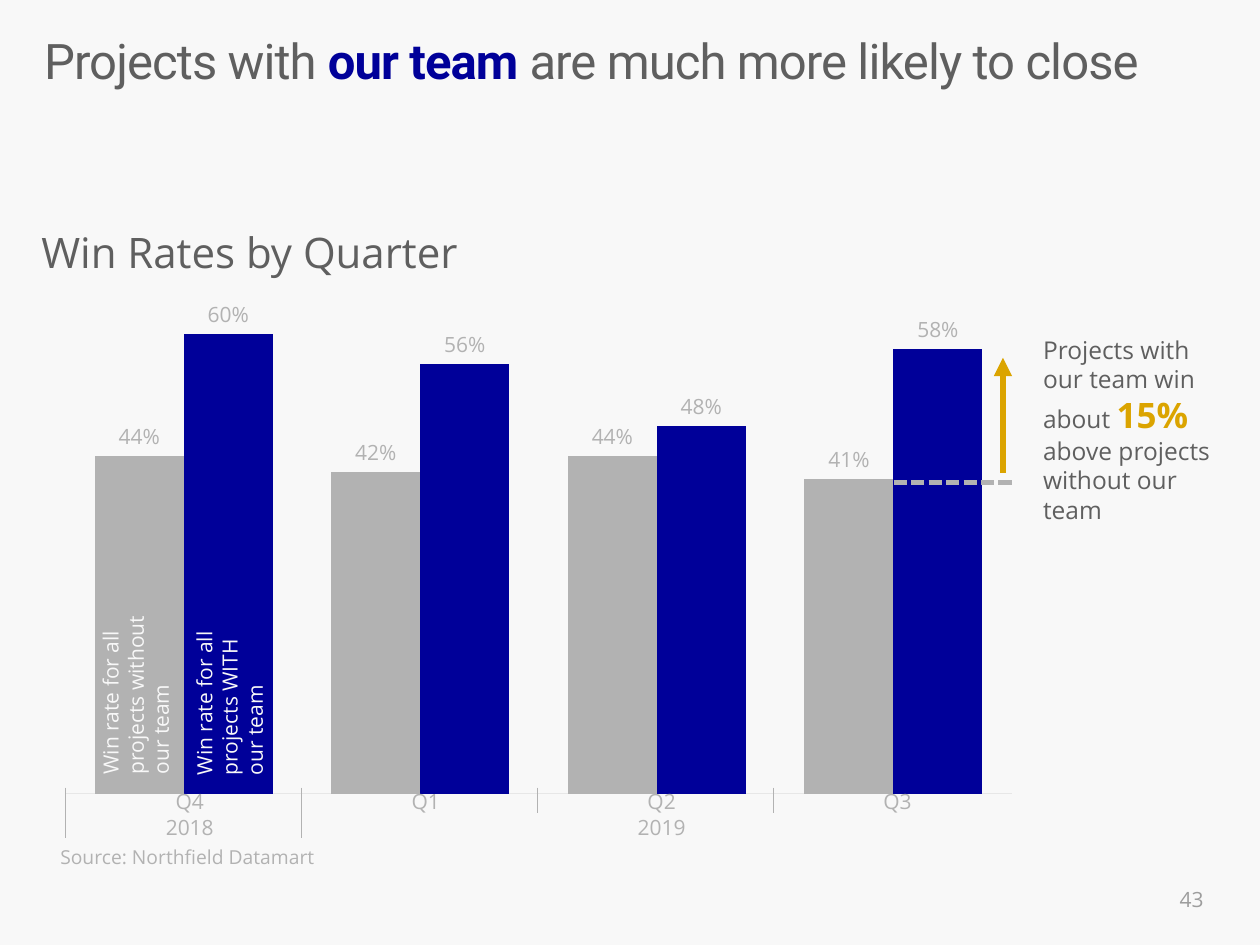
import pptx
import pptx.chart.data
import pptx.dml.color
import pptx.enum.chart
import pptx.enum.dml
import pptx.enum.shapes
import pptx.enum.text
import pptx.oxml
import pptx.oxml.ns
import pptx.util
from lxml import etree

Inches, Pt = pptx.util.Inches, pptx.util.Pt
qn = pptx.oxml.ns.qn
PP_ALIGN = pptx.enum.text.PP_ALIGN
MSO_ANCHOR = pptx.enum.text.MSO_ANCHOR

BACKGROUND, DARK, GRAY, BLUE, GOLD = "F8F8F8", "5F5F5F", "B2B2B2", "000099", "DBA400"
BODY_FONT = "Open Sans"

TITLE = [("Projects with ", 28, DARK, False),
         ("our team ", 28, BLUE, True),
         ("are much more likely to close", 28, DARK, False)]
CALLOUT = [("Projects with our team win about ", 14, DARK, False),
           ("15% ", 20, GOLD, True),
           ("above projects without our team", 14, DARK, False)]
LABELS = [
    ("Win Rates by Quarter", (0.23, 1.75, 4.94, 0.5), 24, DARK, 0),
    ("Source: Northfield Datamart", (0.38, 6.66, 2.89, 0.29), 11, GRAY, 0),
    ("Win rate for all projects without our team", (0.34, 5.15, 1.48, 0.71), 12, BACKGROUND, 270),
    ("Win rate for all projects WITH our team", (1.15, 5.22, 1.35, 0.71), 12, BACKGROUND, 270),
]
SERIES = [("Series 1", (0.44, 0.42, 0.44, 0.41), GRAY),
          ("Series 2", (0.6, 0.56, 0.48, 0.58), BLUE)]
QUARTERS = ["Q4", "Q1", "Q2", "Q3"]
YEARS = [("2018", 0, 0), ("2019", 1, 3)]
CHART_BOX = (0.35, 1.94, 7.82, 4.45)
PLOT_BOX = (0.52, 2.04, 7.51, 4.26)
TABLE_BOX = (0.52, 6.25, 7.49, 0.4)
NO_STYLE = "{2D5ABB26-0587-4C30-8999-92F81FD0307C}"


def color(value):
    return pptx.dml.color.RGBColor.from_string(value)


def set_font(font, size, value, bold=False, name=BODY_FONT):
    font.name, font.size, font.bold = name, Pt(size), bold
    font.color.rgb = color(value)


def add_text(slide, box, runs, name=BODY_FONT, grow=True):
    shape = slide.shapes.add_textbox(*map(Inches, box))
    frame = shape.text_frame
    frame.word_wrap = True
    if grow:
        frame.auto_size = pptx.enum.text.MSO_AUTO_SIZE.SHAPE_TO_FIT_TEXT
    paragraph = frame.paragraphs[0]
    for text, size, value, bold in runs:
        run = paragraph.add_run()
        run.text = text
        set_font(run.font, size, value, bold, name)
    return shape


def add_title(slide):
    frame = add_text(slide, (0.35, 0.31, 9.29, 0.89), TITLE, "Roboto", False).text_frame
    frame.margin_left = frame.margin_right = frame.margin_top = frame.margin_bottom = 0
    paragraph = frame.paragraphs[0]
    paragraph.line_spacing = 0.86
    for run in paragraph.runs:
        run._r.get_or_add_rPr().set("spc", "-50")


def add_chart(slide):
    data = pptx.chart.data.CategoryChartData(number_format="0%")
    data.categories = ["1", "2", "3", "4"]
    for name, values, _ in SERIES:
        data.add_series(name, values)
    chart = slide.shapes.add_chart(pptx.enum.chart.XL_CHART_TYPE.COLUMN_CLUSTERED,
                                   *map(Inches, CHART_BOX), data).chart
    chart.has_legend = chart.has_title = False
    set_font(chart.font, 10, DARK)

    category_axis, value_axis = chart.category_axis, chart.value_axis
    category_axis.tick_label_position = pptx.enum.chart.XL_TICK_LABEL_POSITION.NONE
    category_axis.major_tick_mark = pptx.enum.chart.XL_TICK_MARK.NONE
    category_axis.format.line.color.rgb = color("E7E7E7")
    category_axis.format.line.width = Pt(0.75)
    value_axis.has_major_gridlines = value_axis.visible = False
    value_axis.minimum_scale, value_axis.maximum_scale = 0, 0.7

    plot = chart.plots[0]
    plot.gap_width, plot.overlap = 66, 0
    plot.vary_by_categories = False
    for series, (_, _, value) in zip(plot.series, SERIES):
        series.format.fill.solid()
        series.format.fill.fore_color.rgb = color(value)
        labels = series.data_labels
        labels.show_value = True
        labels.number_format, labels.number_format_is_linked = "0%", False
        labels.position = pptx.enum.chart.XL_LABEL_POSITION.OUTSIDE_END
        set_font(labels.font, 12, GRAY)

    plot_area = chart._chartSpace.chart.plotArea
    for layout in plot_area.findall(qn("c:layout")):
        plot_area.remove(layout)
    layout = etree.Element(qn("c:layout"))
    manual = etree.SubElement(layout, qn("c:manualLayout"))
    left, top, width, height = CHART_BOX
    x, y, w, h = PLOT_BOX
    for tag, value in (("layoutTarget", "inner"), ("xMode", "edge"), ("yMode", "edge"),
                       ("x", (x - left) / width), ("y", (y - top) / height),
                       ("w", w / width), ("h", h / height)):
        etree.SubElement(manual, qn("c:" + tag)).set("val", str(value))
    plot_area.insert(0, layout)


def add_line(slide, points, value, width):
    connector = slide.shapes.add_connector(pptx.enum.shapes.MSO_CONNECTOR.STRAIGHT,
                                           *map(Inches, points))
    connector.line.color.rgb = color(value)
    connector.line.width = Pt(width)
    etree.SubElement(connector._element.spPr, qn("a:effectLst"))
    return connector


def fill_cell(cell, text):
    cell.text = text
    cell.fill.background()
    cell.margin_left = Inches(0.1)
    cell.margin_right = cell.margin_top = cell.margin_bottom = 0
    paragraph = cell.text_frame.paragraphs[0]
    paragraph.alignment = PP_ALIGN.CENTER
    set_font(paragraph.font, 12, GRAY)


def add_border(cell, side):
    border = pptx.oxml.parse_xml(
        f'<a:{side} xmlns:a="http://schemas.openxmlformats.org/drawingml/2006/main" w="12700">'
        f'<a:solidFill><a:srgbClr val="{GRAY}"/></a:solidFill></a:{side}>')
    properties = cell._tc.get_or_add_tcPr()
    properties.insert(len(properties.findall(qn("a:lnL"))), border)


def add_table(slide):
    table = slide.shapes.add_table(2, len(QUARTERS), *map(Inches, TABLE_BOX)).table
    table.first_row = table.horz_banding = False
    table._tbl.tblPr.find(qn("a:tableStyleId")).text = NO_STYLE
    for column, quarter in enumerate(QUARTERS):
        fill_cell(table.cell(0, column), quarter)
        add_border(table.cell(0, column), "lnL")
    for year, first, last in YEARS:
        cell = table.cell(1, first)
        if last > first:
            cell.merge(table.cell(1, last))
        fill_cell(cell, year)
        add_border(cell, "lnL")
    for row in range(2):
        add_border(table.cell(row, 0), "lnR")


def main():
    presentation = pptx.Presentation()
    presentation.slide_width, presentation.slide_height = Inches(10), Inches(7.5)
    slide = presentation.slides.add_slide(presentation.slide_layouts[6])
    slide.background.fill.solid()
    slide.background.fill.fore_color.rgb = color(BACKGROUND)

    add_title(slide)
    page_number = add_text(slide, (7.4, 6.94, 2.25, 0.4), [("43", 12, "9D9D9D", False)], grow=False)
    page_number.text_frame.vertical_anchor = MSO_ANCHOR.MIDDLE
    page_number.text_frame.paragraphs[0].alignment = PP_ALIGN.RIGHT

    add_chart(slide)
    arrow = add_line(slide, (7.96, 3.75, 7.96, 2.84), GOLD, 3.5)
    etree.SubElement(arrow.line._get_or_add_ln(), qn("a:tailEnd")).set("type", "triangle")
    baseline = add_line(slide, (6.4, 3.83, 8.06, 3.83), GRAY, 2.5)
    baseline.line.dash_style = pptx.enum.dml.MSO_LINE.SQUARE_DOT

    add_text(slide, (8.18, 2.61, 1.63, 1.38), CALLOUT)
    for text, box, size, value, rotation in LABELS:
        add_text(slide, box, [(text, size, value, False)]).rotation = rotation
    add_table(slide)
    presentation.save("out.pptx")


if __name__ == "__main__":
    main()
